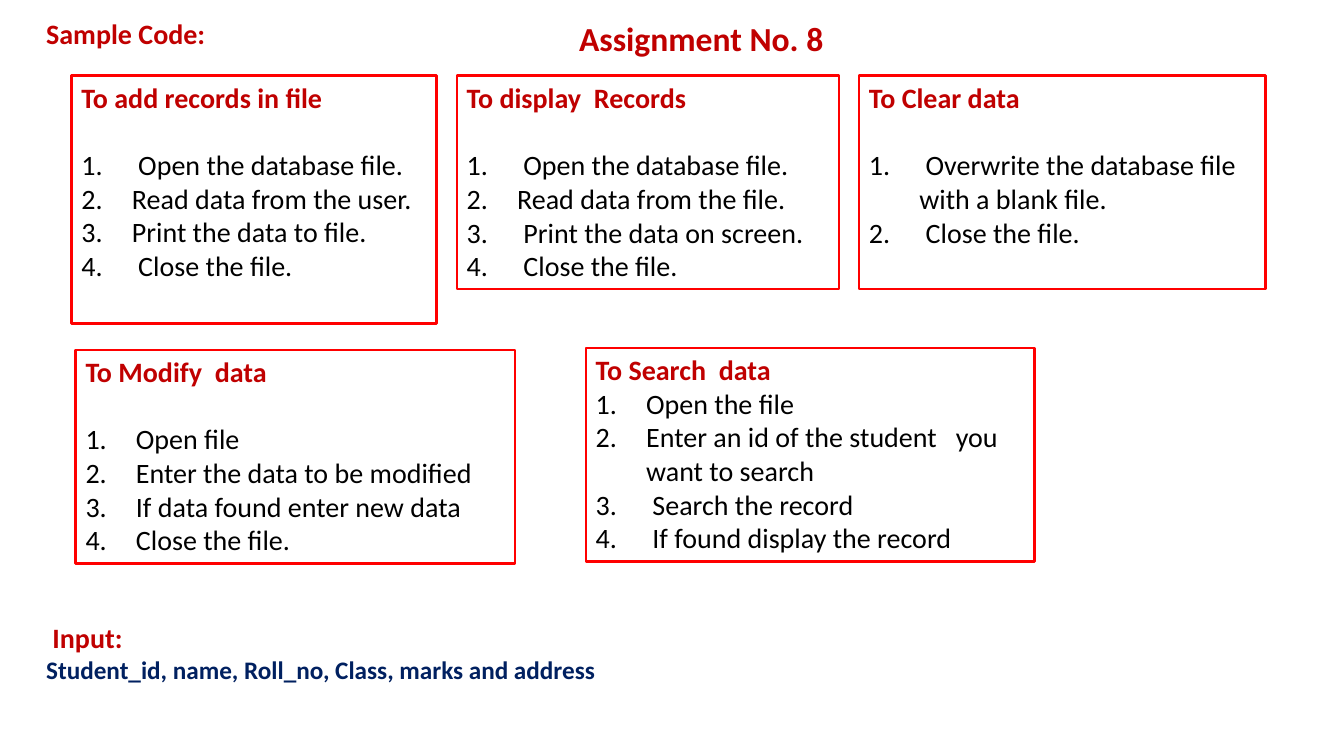
"""Build the Assignment No. 8 slide: five boxed procedures and the input fields."""
from dataclasses import dataclass

from lxml.etree import SubElement
from pptx import Presentation
from pptx.dml.color import RGBColor
from pptx.enum.shapes import MSO_SHAPE
from pptx.enum.text import MSO_ANCHOR, MSO_AUTO_SIZE, PP_ALIGN
from pptx.oxml.ns import qn
from pptx.util import Inches, Pt


@dataclass(frozen=True)
class Theme:
    font: str = "Calibri"
    heading: RGBColor = RGBColor(0xC0, 0x00, 0x00)
    body: RGBColor = RGBColor(0x00, 0x00, 0x00)
    fields: RGBColor = RGBColor(0x00, 0x20, 0x60)
    border: RGBColor = RGBColor(0xFF, 0x00, 0x00)
    title_size: int = 24
    text_size: int = 20
    fields_size: int = 18


theme = Theme()


def add_run(p, text, color, size=theme.text_size, bold=True):
    r = p.add_run()
    r.text = text
    r.font.name = theme.font
    r.font.size = Pt(size)
    r.font.bold = bold
    r.font.color.rgb = color


def set_frame(tf):
    tf.word_wrap = True
    tf.auto_size = MSO_AUTO_SIZE.NONE
    tf.vertical_anchor = MSO_ANCHOR.TOP


prs = Presentation()
prs.slide_width, prs.slide_height = Inches(13.33), Inches(7.5)
s = prs.slides.add_slide(prs.slide_layouts[5])

title = s.shapes.title
title.left, title.top = Inches(5.59), Inches(0.13)
title.width, title.height = Inches(2.73), Inches(0.5)
set_frame(title.text_frame)
p = title.text_frame.paragraphs[0]
p.alignment = PP_ALIGN.CENTER
add_run(p, "Assignment No. 8", theme.heading, theme.title_size)

labels = [
    (0.11, 0.44, [("Sample Code:", theme.heading, theme.text_size)]),
    (6.11, 0.75, [
        (" Input:", theme.heading, theme.text_size),
        ("Student_id, name, Roll_no, Class, marks and address",
         theme.fields, theme.fields_size),
    ]),
]
for top, height, lines in labels:
    sp = s.shapes.add_textbox(Inches(0.36), Inches(top), Inches(7), Inches(height))
    tf = sp.text_frame
    set_frame(tf)
    for i, (text, color, size) in enumerate(lines):
        p = tf.add_paragraph() if i else tf.paragraphs[0]
        add_run(p, text, color, size)

procedures = [
    ("To add records in file", (0.71, 0.75, 3.62, 2.46), 24,
     [" Open the database file.", "Read data from the user.",
      "Print the data to file.", " Close the file."]),
    ("To display  Records", (4.53, 0.75, 3.79, 2.12), 24,
     [" Open the database file.", "Read data from the file.",
      " Print the data on screen.", " Close the file."]),
    ("To Clear data", (8.52, 0.75, 4.03, 2.12), 24,
     [" Overwrite the database file with a blank file.", " Close the file."]),
    ("To Modify  data", (0.75, 3.47, 4.36, 2.12), 24,
     ["Open file", "Enter the data to be modified",
      "If data found enter new data", "Close the file."]),
    ("To Search  data", (5.81, 3.45, 4.45, 2.12), 0,
     ["Open the file", "Enter an id of the student   you want to search",
      " Search the record", " If found display the record"]),
]
for heading, box, gap, steps in procedures:
    sp = s.shapes.add_shape(MSO_SHAPE.RECTANGLE, *map(Inches, box))
    sp.shadow.inherit = False
    sp.fill.background()
    sp.line.color.rgb = theme.border
    sp.line.width = Pt(1.75)
    tf = sp.text_frame
    set_frame(tf)
    p = tf.paragraphs[0]
    p.alignment = PP_ALIGN.LEFT
    p.space_after = Pt(gap)
    add_run(p, heading, theme.heading)
    for step in steps:
        p = tf.add_paragraph()
        p.alignment = PP_ALIGN.LEFT
        pPr = p._p.get_or_add_pPr()
        pPr.set("marL", str(Inches(0.5)))
        pPr.set("indent", str(-Inches(0.5)))
        SubElement(pPr, qn("a:buFont"), typeface="+mj-lt")
        SubElement(pPr, qn("a:buAutoNum"), type="arabicPeriod")
        add_run(p, step, theme.body, bold=False)

prs.save("out.pptx")
